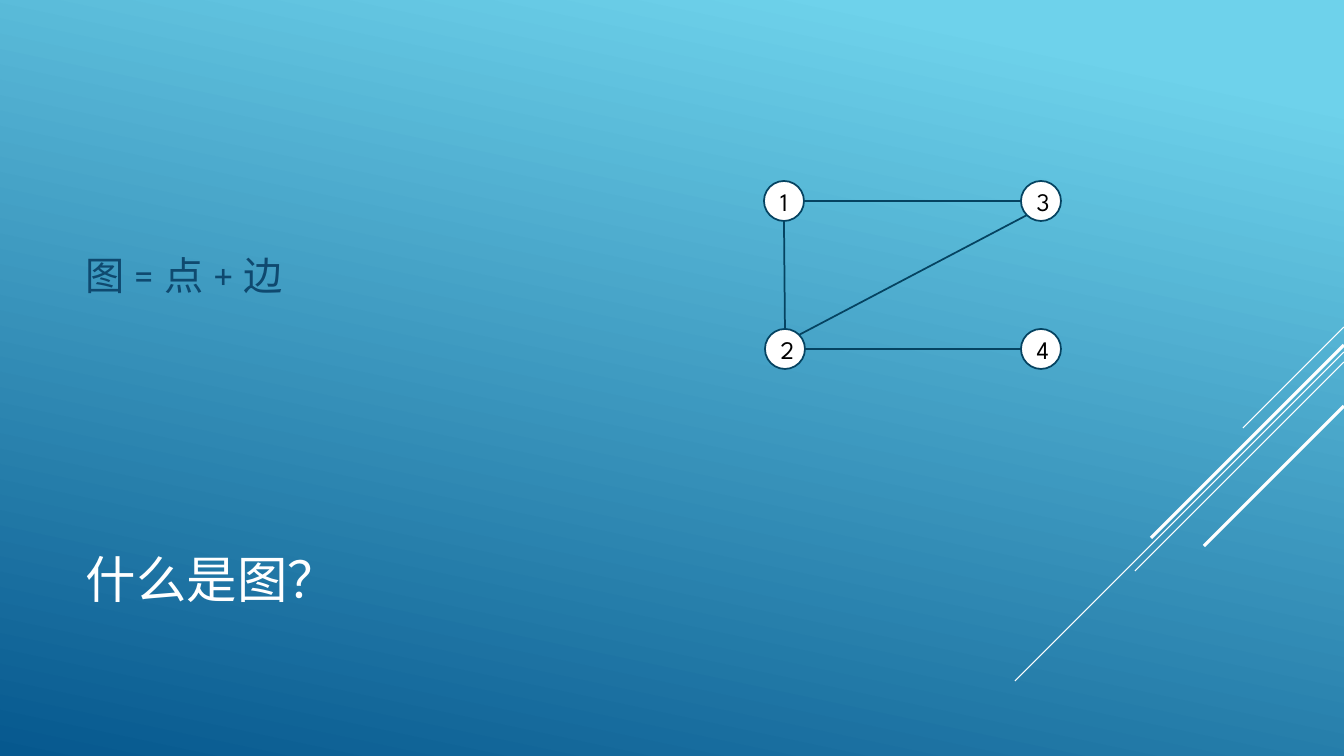
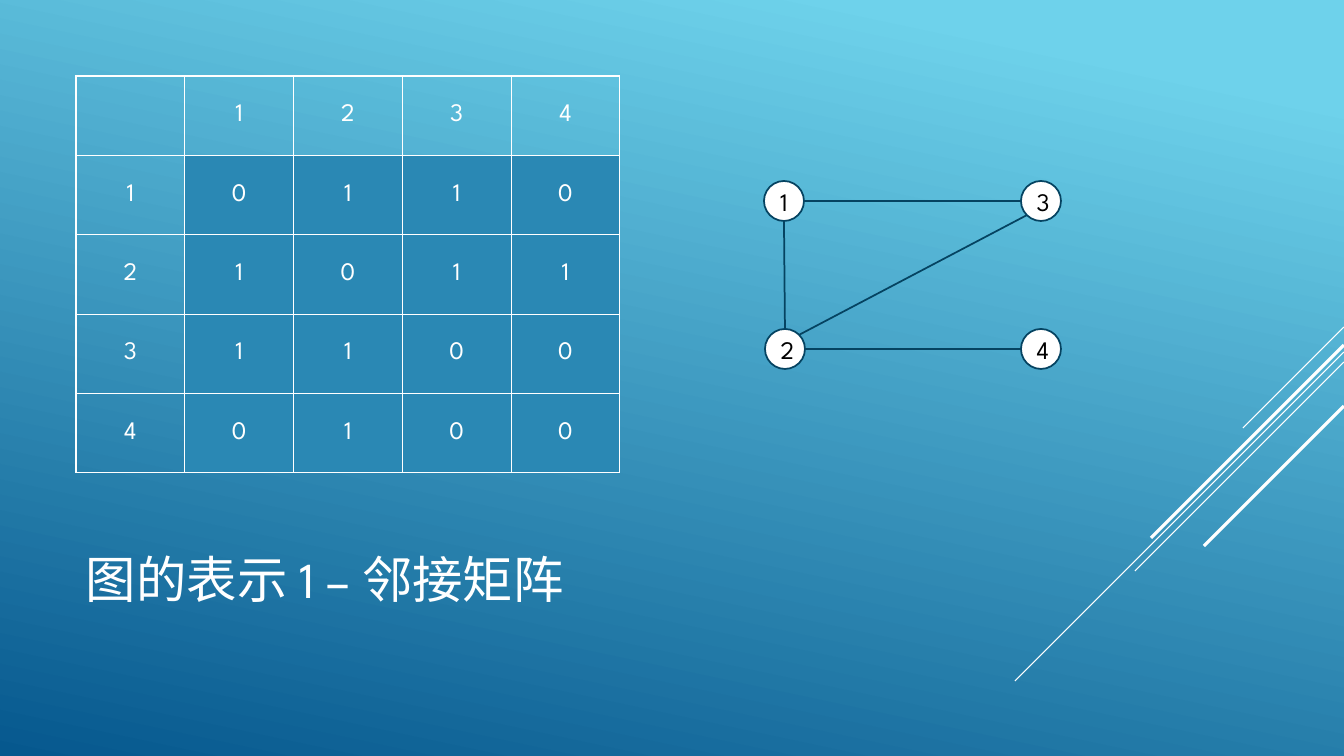
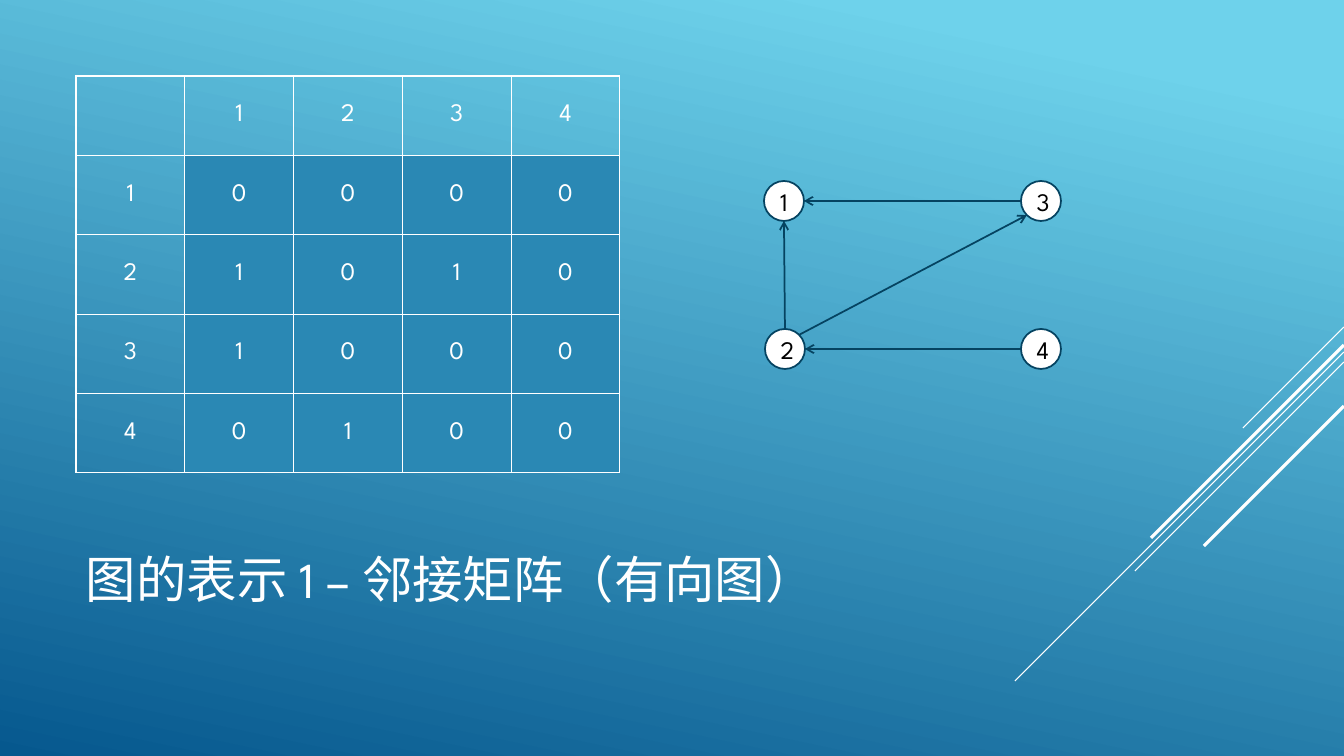
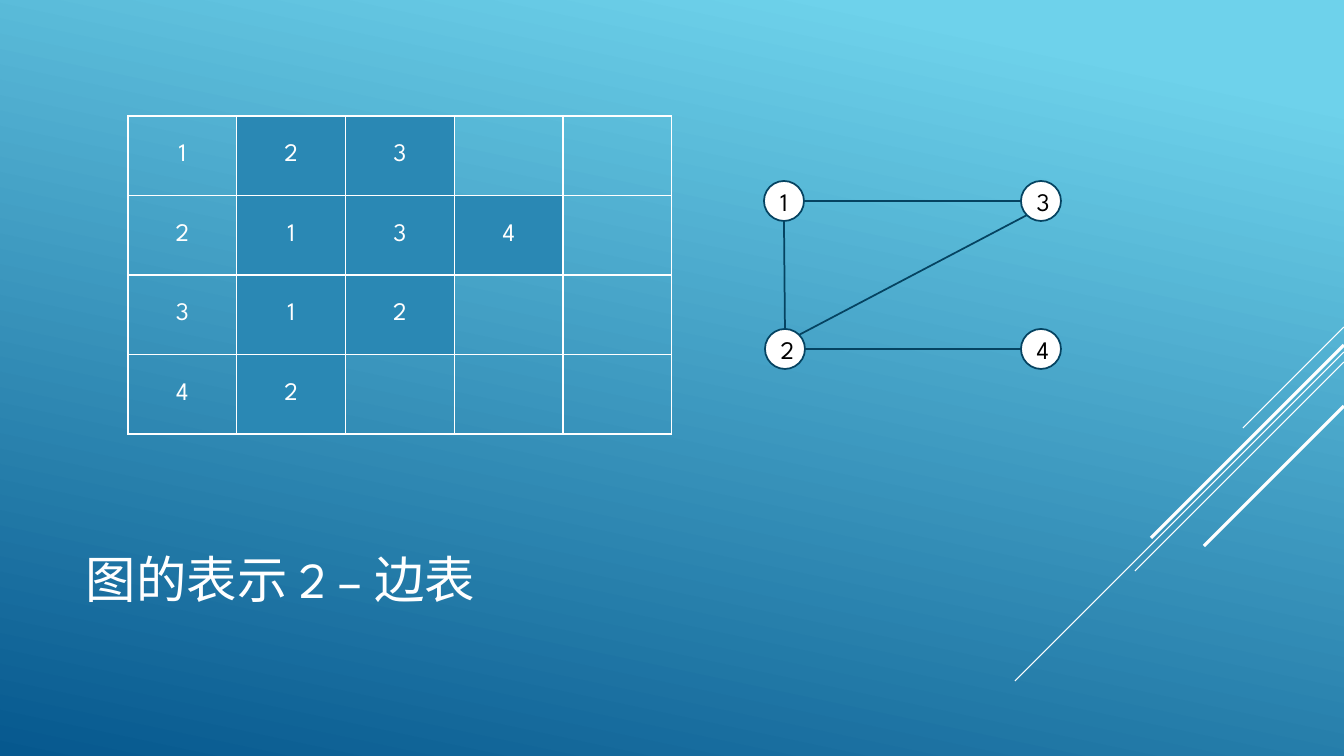
from math import cos, radians, sin

from lxml.etree import SubElement
from pptx import Presentation
from pptx.dml.color import RGBColor
from pptx.enum.lang import MSO_LANGUAGE_ID as Language
from pptx.enum.shapes import MSO_CONNECTOR as Connector, MSO_SHAPE as Preset
from pptx.enum.text import MSO_ANCHOR as Anchor, PP_ALIGN as Align
from pptx.oxml.ns import qn
from pptx.util import Pt

WIDTH, HEIGHT = 1344, 756
SCALE = 12192000 / WIDTH
FONT = "League Spartan"
COLOURS = {
    "sky": "6ED2EB",
    "deep": "06588E",
    "white": "FFFFFF",
    "black": "000000",
    "body": "0F496F",
    "edge": "054361",
    "cell": "2A88B4",
}
RAYS = [(327, 101, 0.75), (352, 329, 0.75), (362, 209, 0.75), (345, 193, 2.25), (406, 140, 2.25)]
NODE_SIZE = 40
NODES = {1: (764, 181), 2: (765, 329), 3: (1021, 181), 4: (1021, 329)}
EDGES = [(3, 180, 1, 0), (2, 270, 1, 90), (2, 315, 3, 135), (4, 180, 2, 0)]


def px(value):
    return round(value * SCALE)


def rgb(name):
    return RGBColor.from_string(COLOURS[name])


def write_text(frame, text, size=18, colour="white", align=Align.LEFT, before=0, after=0):
    frame.word_wrap = True
    paragraph = frame.paragraphs[0]
    paragraph.alignment = align
    paragraph.space_before, paragraph.space_after = Pt(before), Pt(after)
    run = paragraph.add_run()
    run.text = text
    run.font.name = FONT
    run.font.size = Pt(size)
    run.font.color.rgb = rgb(colour)
    run.font.language_id = Language.SIMPLIFIED_CHINESE
    SubElement(run.font._element, qn("a:ea"), typeface=FONT)


def add_text_box(slide, left, top, width, height, text, **text_format):
    box = slide.shapes.add_textbox(px(left), px(top), px(width), px(height))
    box.text_frame.vertical_anchor = Anchor.MIDDLE
    write_text(box.text_frame, text, **text_format)


def add_line(slide, start, end, colour, width, arrow=False):
    line = slide.shapes.add_connector(Connector.STRAIGHT, *map(px, (*start, *end)))
    line.line.color.rgb = rgb(colour)
    line.line.width = Pt(width)
    if arrow:
        SubElement(line.line._get_or_add_ln(), qn("a:tailEnd"), type="arrow")
    SubElement(line._element.spPr, qn("a:effectLst"))


def add_node(slide, label, left, top):
    node = slide.shapes.add_shape(Preset.OVAL, px(left), px(top), px(NODE_SIZE), px(NODE_SIZE))
    node.shadow.inherit = False
    node.fill.solid()
    node.fill.fore_color.rgb = rgb("white")
    node.line.color.rgb = rgb("edge")
    node.line.width = Pt(1.25)
    node.text_frame.vertical_anchor = Anchor.MIDDLE
    write_text(node.text_frame, label, colour="black", align=Align.CENTER)


def rim_point(node, angle):
    left, top = NODES[node]
    radius = NODE_SIZE / 2
    return (left + radius * (1 + cos(radians(angle))), top + radius * (1 + sin(radians(angle))))


def add_graph(slide, directed=False):
    for node, (left, top) in NODES.items():
        add_node(slide, str(node), left, top)
    for source, source_angle, target, target_angle in EDGES:
        add_line(slide, rim_point(source, source_angle), rim_point(target, target_angle),
                 "edge", 1.25, arrow=directed)


def neighbours(node, directed=False):
    found = {target for source, _, target, _ in EDGES if source == node}
    if not directed:
        found |= {source for source, _, target, _ in EDGES if target == node}
    return sorted(found)


def matrix_rows(directed=False):
    rows = [["", *map(str, NODES)]]
    for node in NODES:
        linked = neighbours(node, directed)
        rows.append([str(node), *(str(int(other in linked)) for other in NODES)])
    return rows


def list_rows():
    rows = []
    for node in NODES:
        row = [str(value) for value in (node, *neighbours(node))]
        rows.append(row + [""] * (len(NODES) + 1 - len(row)))
    return rows


def format_cell(cell, text, filled):
    cell.vertical_anchor = Anchor.MIDDLE
    cell.margin_left = cell.margin_right = px(14)
    cell.margin_top = cell.margin_bottom = px(5)
    properties = cell._tc.get_or_add_tcPr()
    for side in ("lnL", "lnR", "lnT", "lnB"):
        border = SubElement(properties, qn(f"a:{side}"), w=str(Pt(1)))
        SubElement(SubElement(border, qn("a:solidFill")), qn("a:srgbClr"), val=COLOURS["white"])
    if filled:
        cell.fill.solid()
        cell.fill.fore_color.rgb = rgb("cell")
    else:
        cell.fill.background()
    if text:
        write_text(cell.text_frame, text, align=Align.CENTER)


def add_grid(slide, rows, left, top, height, header_rows=0):
    frame = slide.shapes.add_table(len(rows), len(rows[0]), px(left), px(top), px(544), px(height))
    table = frame.table
    table.first_row = table.horz_banding = False
    for row_index, row in enumerate(rows):
        for column_index, text in enumerate(row):
            filled = bool(text) and column_index > 0 and row_index >= header_rows
            format_cell(table.cell(row_index, column_index), text, filled)


def set_background(master):
    fill = master.background.fill
    fill.gradient()
    fill.gradient_angle = 258
    for stop, position, colour in zip(fill.gradient_stops, (0.1, 1), ("sky", "deep")):
        stop.position = position
        stop.color.rgb = rgb(colour)


def add_slide(presentation, title):
    slide = presentation.slides.add_slide(presentation.slide_layouts[6])
    for top, length, width in RAYS:
        add_line(slide, (WIDTH, top), (WIDTH - length, top + length), "white", width)
    add_text_box(slide, 76, 495, 940, 166, title, size=36)
    return slide


def main():
    presentation = Presentation()
    presentation.slide_width, presentation.slide_height = px(WIDTH), px(HEIGHT)
    set_background(presentation.slide_master)

    slide = add_slide(presentation, "什么是图？")
    add_text_box(slide, 76, 76, 544, 398, "图 = 点 + 边", size=28, colour="body", before=6, after=6)
    add_graph(slide)

    for title, directed in (("图的表示 1 – 邻接矩阵", False), ("图的表示 1 – 邻接矩阵（有向图）", True)):
        slide = add_slide(presentation, title)
        add_grid(slide, matrix_rows(directed), 76, 76, 397, header_rows=1)
        add_graph(slide, directed)

    slide = add_slide(presentation, "图的表示 2 – 边表")
    add_grid(slide, list_rows(), 128, 116, 318)
    add_graph(slide)

    presentation.save("out.pptx")


if __name__ == "__main__":
    main()
